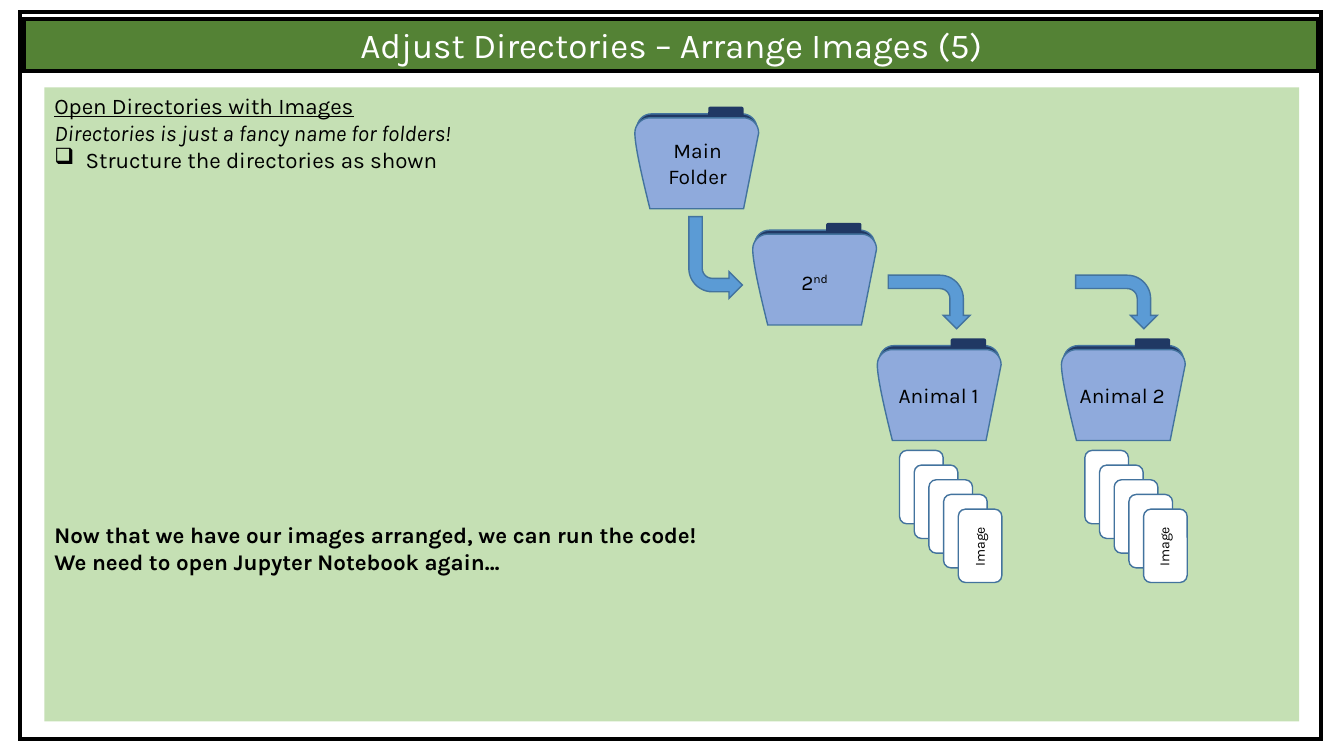
from dataclasses import dataclass

from lxml.etree import SubElement
from pptx import Presentation
from pptx.dml.color import RGBColor
from pptx.enum.shapes import MSO_SHAPE
from pptx.enum.text import MSO_ANCHOR, PP_ALIGN
from pptx.oxml.ns import qn
from pptx.util import Cm, Pt


@dataclass(frozen=True)
class Theme:
    font: str = "Karla"
    black: str = "000000"
    white: str = "FFFFFF"
    panel: str = "C5E0B4"
    banner: str = "548235"
    folder_back: str = "203864"
    folder_front: str = "8FAADC"
    arrow: str = "5B9BD5"
    outline: str = "43739E"
    title_size: float = 25
    body_size: float = 16
    label_size: float = 15
    card_size: float = 10
    thin: float = 1
    thick: float = 3


@dataclass(frozen=True)
class Frame:
    left: float
    top: float
    width: float
    height: float

    def lengths(self) -> tuple:
        return Cm(self.left), Cm(self.top), Cm(self.width), Cm(self.height)


@dataclass(frozen=True)
class Folder:
    left: float
    top: float
    label: str
    label_frame: Frame
    suffix: str = ""


@dataclass(frozen=True)
class Arrow:
    left: float
    top: float
    rotation: float
    mirrored: bool = False


@dataclass(frozen=True)
class CardStack:
    left: float
    top: float
    label_frame: Frame


THEME = Theme()
FOLDER_WIDTH, FOLDER_HEIGHT, CORNER = 3.12, 2.29, 0.38
BACK_SCALE = 0.97
CARD_WIDTH, CARD_HEIGHT, CARD_STEP, CARD_COUNT = 1.1, 1.85, 0.37, 5

FOLDERS = (
    Folder(16, 2.97, "Main Folder", Frame(16.54, 3.35, 2.08, 1.55)),
    Folder(18.97, 5.9, "2", Frame(19.69, 6.66, 1.68, 0.89), suffix="nd"),
    Folder(22.11, 8.81, "Animal 1", Frame(22.22, 9.52, 2.87, 0.89)),
    Folder(26.75, 8.81, "Animal 2", Frame(26.85, 9.52, 2.87, 0.89)),
)
ARROWS = (
    Arrow(17.36, 5.46, 180, mirrored=True),
    Arrow(22.74, 6.58, 90),
    Arrow(27.46, 6.58, 90),
)
CARD_STACKS = (
    CardStack(22.67, 11.35, Frame(23.85, 13.43, 1.68, 0.69)),
    CardStack(27.34, 11.35, Frame(28.5, 13.43, 1.68, 0.69)),
)


def paint(shape, fill: str | None, line: str | None, weight: float) -> None:
    shape.shadow.inherit = False
    if fill:
        shape.fill.solid()
        shape.fill.fore_color.rgb = RGBColor.from_string(fill)
    else:
        shape.fill.background()
    if line:
        shape.line.color.rgb = RGBColor.from_string(line)
        shape.line.width = Pt(weight)
        stroke = shape._element.spPr.find(qn("a:ln"))
        SubElement(stroke, qn("a:miter")).set("lim", "800000")
    else:
        shape.line.fill.background()


def add_block(page, kind, frame: Frame, fill: str | None = None,
              line: str | None = None, weight: float = THEME.thin):
    shape = page.shapes.add_shape(kind, *frame.lengths())
    paint(shape, fill, line, weight)
    return shape


def add_span(para, text: str, *, size: float, color: str = THEME.black, bold: bool = False,
             italic: bool = False, underline: bool = False, raised: bool = False) -> None:
    span = para.add_run()
    span.text = text
    span.font.name = THEME.font
    span.font.size = Pt(size)
    span.font.color.rgb = RGBColor.from_string(color)
    span.font.bold = bold
    span.font.italic = italic
    span.font.underline = underline
    if raised:
        span.font._element.set("baseline", "30000")


def add_label(page, frame: Frame, text: str, size: float, suffix: str = "",
              rotation: float = 0) -> None:
    box = page.shapes.add_textbox(*frame.lengths())
    box.rotation = rotation
    box.text_frame.word_wrap = True
    para = box.text_frame.paragraphs[0]
    para.alignment = PP_ALIGN.CENTER
    add_span(para, text, size=size)
    if suffix:
        add_span(para, suffix, size=size, raised=True)


def bend(segment, scale: float, *knots: tuple) -> None:
    segment.tag = qn("a:cubicBezTo")
    for index, (x, y) in enumerate(knots):
        knot = segment.makeelement(
            qn("a:pt"), {"x": str(Cm(x * scale)), "y": str(Cm(y * scale))})
        segment.insert(index, knot)


def add_pocket(page, left: float, top: float, scale: float, fill: str) -> None:
    right, bottom = FOLDER_WIDTH, FOLDER_HEIGHT
    inner = right - CORNER
    outline = ((0, CORNER), (CORNER, 0), (inner, 0), (right, CORNER),
               (inner, bottom), (CORNER, bottom), (0, CORNER))
    points = [(Cm(left + x * scale), Cm(top + y * scale)) for x, y in outline]
    builder = page.shapes.build_freeform(*points[0])
    builder.add_line_segments(points[1:], close=True)
    pocket = builder.convert_to_shape()
    segments = list(pocket._element.iter(qn("a:lnTo")))
    bend(segments[0], scale, (0, 0.17), (0.17, 0))
    bend(segments[2], scale, (right - 0.17, 0), (right, 0.17))
    bend(segments[5], scale, (0.25, 1.77), (0, 0.76))
    paint(pocket, fill, THEME.outline, THEME.thin)


def add_folder(page, folder: Folder) -> None:
    add_pocket(page, folder.left + 0.05, folder.top - 0.1, BACK_SCALE, THEME.folder_back)
    tab = Frame(folder.left + 1.85, folder.top - 0.28, 0.89, 0.28)
    add_block(page, MSO_SHAPE.ROUNDED_RECTANGLE, tab, THEME.folder_back)
    add_pocket(page, folder.left, folder.top, 1, THEME.folder_front)
    add_label(page, folder.label_frame, folder.label, THEME.label_size, folder.suffix)


def add_arrow(page, arrow: Arrow) -> None:
    shape = add_block(page, MSO_SHAPE.BENT_ARROW, Frame(arrow.left, arrow.top, 1.35, 2.06),
                      THEME.arrow, THEME.outline)
    shape.rotation = arrow.rotation
    if arrow.mirrored:
        shape._element.spPr.find(qn("a:xfrm")).set("flipH", "1")


def add_card_stack(page, stack: CardStack) -> None:
    for index in range(CARD_COUNT):
        shift = CARD_STEP * index
        card = Frame(stack.left + shift, stack.top + shift, CARD_WIDTH, CARD_HEIGHT)
        add_block(page, MSO_SHAPE.ROUNDED_RECTANGLE, card, THEME.white, THEME.outline)
    add_label(page, stack.label_frame, "Image", THEME.card_size, rotation=270)


def add_instructions(page) -> None:
    panel = add_block(page, MSO_SHAPE.RECTANGLE, Frame(1.12, 2.2, 31.62, 15.98), THEME.panel)
    panel.text_frame.word_wrap = True
    panel.text_frame.vertical_anchor = MSO_ANCHOR.TOP
    lines = (
        ("Open Directories with Images", {"underline": True}),
        ("Directories is just a fancy name for folders!", {"italic": True}),
        ("Structure the directories as shown", {}),
        ("Now that we have our images arranged, we can run the code!", {"bold": True}),
        ("We need to open Jupyter Notebook again…", {"bold": True}),
    )
    paras = [panel.text_frame.paragraphs[0]]
    paras += [panel.text_frame.add_paragraph() for _ in lines[1:]]
    for para, (text, style) in zip(paras, lines):
        para.alignment = PP_ALIGN.LEFT
        add_span(para, text, size=THEME.body_size, **style)
    paras[3].space_before = Pt(249)
    bullet = paras[2]._p.get_or_add_pPr()
    bullet.set("marL", str(Cm(0.79)))
    bullet.set("indent", str(-Cm(0.79)))
    SubElement(bullet, qn("a:buChar")).set("char", "❑")


def add_title(page) -> None:
    banner = add_block(page, MSO_SHAPE.RECTANGLE, Frame(0.61, 0.47, 32.61, 1.32),
                       THEME.banner, THEME.black, THEME.thick)
    para = banner.text_frame.paragraphs[0]
    para.alignment = PP_ALIGN.CENTER
    add_span(para, "Adjust Directories – Arrange Images (5)",
             size=THEME.title_size, color=THEME.white)


def main() -> None:
    deck = Presentation()
    deck.slide_width, deck.slide_height = Cm(33.87), Cm(19.05)
    page = deck.slides.add_slide(deck.slide_layouts[6])
    add_instructions(page)
    add_block(page, MSO_SHAPE.RECTANGLE, Frame(0.51, 0.31, 32.79, 18.31),
              line=THEME.black, weight=THEME.thick)
    add_title(page)
    for folder in FOLDERS:
        add_folder(page, folder)
    for stack in CARD_STACKS:
        add_card_stack(page, stack)
    for arrow in ARROWS:
        add_arrow(page, arrow)
    deck.save("out.pptx")


if __name__ == "__main__":
    main()
